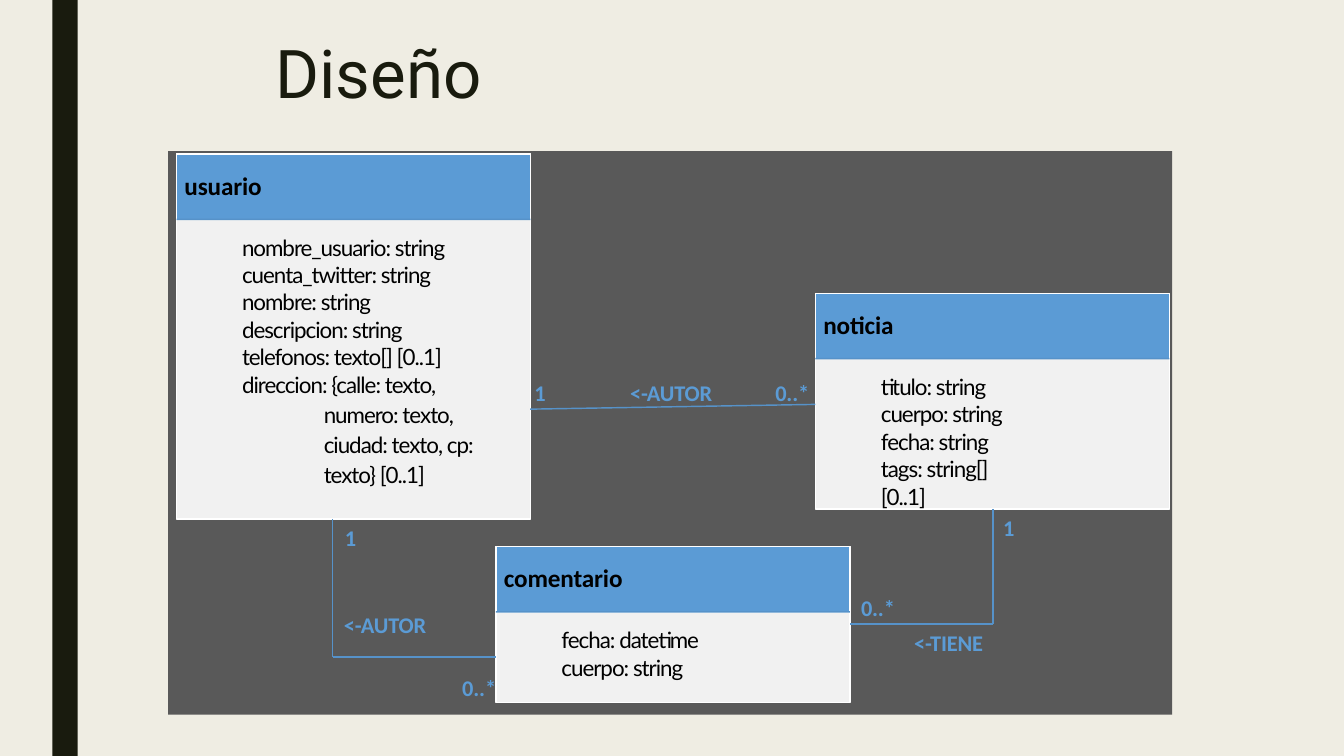
from itertools import pairwise

from lxml.etree import SubElement
from pptx import Presentation
from pptx.dml.color import RGBColor
from pptx.enum.shapes import MSO_CONNECTOR as Connector, MSO_SHAPE as Shape
from pptx.enum.text import MSO_ANCHOR as Anchor
from pptx.oxml.ns import qn
from pptx.util import Cm, Pt

INK, CREAM, PANEL = "191B0E", "EFEDE3", "595959"
HEADER, RULE, BODY = "5B9BD5", "5692C9", "F1F1F1"
BLACK, WHITE = "000000", "FFFFFF"

BOX_WIDTH, HEADER_HEIGHT = 8.92, 1.65
LINE_WIDTH = 1.03

TITLE = {"name": "Roboto", "size": Pt(48), "color": INK}
CLASS_NAME = {"name": "Calibri", "size": Pt(18), "bold": True, "color": BLACK, "tracking": -0.1}
FIELD = {"name": "Lato", "size": Pt(16), "color": BLACK, "tracking": -0.7}
LABEL = {"name": "Calibri", "size": Pt(16), "bold": True, "color": HEADER, "tracking": -0.1}

FIELD_LINE = {"line_spacing": 1.02}
NESTED_LINE = {"line_spacing": Pt(21.5)}
NESTED_INDENT = 2.06

CLASSES = [
    ("usuario", 4.45, 3.88, 9.2,
     ["nombre_usuario: string", "cuenta_twitter: string", "nombre: string",
      "descripcion: string", "telefonos: texto[] [0..1]", "direccion: {calle: texto,"],
     ["numero: texto,", "ciudad: texto, cp:", "texto} [0..1]"]),
    ("noticia", 20.55, 7.39, 5.44,
     ["titulo: string", "cuerpo: string", "fecha: string", "tags: string[]", "[0..1]"], []),
    ("comentario", 12.5, 13.77, 3.94, ["fecha: datetime", "cuerpo: string"], []),
]
LINKS = [
    [(13.36, 10.31), (20.55, 10.19)],
    [(8.38, 13.08), (8.38, 16.56), (12.5, 16.56)],
    [(25.02, 12.83), (25.02, 15.72), (21.42, 15.72)],
]
LABELS = [
    ("1", 13.47, 9.55), ("<-AUTOR", 15.88, 9.55), ("0..*", 19.54, 9.55),
    ("1", 8.69, 13.21), ("<-AUTOR", 8.67, 15.4), ("0..*", 11.65, 16.99),
    ("1", 25.28, 12.95), ("0..*", 21.7, 14.96), ("<-TIENE", 23.04, 15.85),
]


def rgb(value):
    return RGBColor.from_string(value)


def assign(target, values):
    for key, value in values.items():
        setattr(target, key, value)


class Diagram:
    def __init__(self, presentation):
        self.slide = presentation.slides.add_slide(presentation.slide_layouts[6])
        self.shapes = self.slide.shapes

    def background(self, color):
        fill = self.slide.background.fill
        fill.solid()
        fill.fore_color.rgb = rgb(color)

    def rectangle(self, left, top, width, height, color, outline=None):
        shape = self.shapes.add_shape(Shape.RECTANGLE, Cm(left), Cm(top), Cm(width), Cm(height))
        shape.shadow.inherit = False
        shape.fill.solid()
        shape.fill.fore_color.rgb = rgb(color)
        if outline:
            shape.line.color.rgb = rgb(outline)
            shape.line.width = Pt(LINE_WIDTH)
        else:
            shape.line.fill.background()

    def text(self, left, top, width, height, lines, style):
        frame = self.shapes.add_textbox(Cm(left), Cm(top), Cm(width), Cm(height)).text_frame
        assign(frame, {"word_wrap": True, "vertical_anchor": Anchor.TOP, "margin_left": 0,
                       "margin_right": 0, "margin_top": 0, "margin_bottom": 0})
        for index, line in enumerate(lines):
            paragraph = frame.paragraphs[0] if index == 0 else frame.add_paragraph()
            self.styled_run(paragraph, line, style)
        return frame

    def styled_run(self, paragraph, line, style):
        run = paragraph.add_run()
        run.text = line
        assign(run.font, {key: style[key] for key in ("name", "size", "bold") if key in style})
        run.font.color.rgb = rgb(style["color"])
        if "tracking" in style:
            run._r.get_or_add_rPr().set("spc", str(round(style["tracking"] * 100)))

    def class_box(self, name, left, top, height, fields, nested):
        divider = top + HEADER_HEIGHT
        self.rectangle(left, top, BOX_WIDTH, height, BODY, WHITE)
        self.rectangle(left, top, BOX_WIDTH, HEADER_HEIGHT, HEADER, WHITE)
        self.rectangle(left, divider - 0.02, BOX_WIDTH, 0.04, RULE)
        self.text(left + 0.2, top + 0.4, 5, 0.8, [name], CLASS_NAME)
        frame = self.text(left + 1.65, top + 2, 7.1, height - 2.1, fields + nested, FIELD)
        for index, paragraph in enumerate(frame.paragraphs):
            if index < len(fields):
                assign(paragraph, FIELD_LINE)
            else:
                assign(paragraph, NESTED_LINE)
                paragraph._p.get_or_add_pPr().set("marL", str(Cm(NESTED_INDENT)))

    def link(self, points):
        for start, end in pairwise(points):
            ends = [Cm(value) for value in start + end]
            connector = self.shapes.add_connector(Connector.STRAIGHT, *ends)
            connector.line.color.rgb = rgb(RULE)
            connector.line.width = Pt(LINE_WIDTH)
            SubElement(connector._element.spPr, qn("a:effectLst"))

    def label(self, caption, left, top):
        width = 0.4 + 0.3 * len(caption)
        self.text(left, top, width, 0.7, [caption], LABEL)


def main():
    presentation = Presentation()
    assign(presentation, {"slide_width": Cm(33.87), "slide_height": Cm(19.05)})
    diagram = Diagram(presentation)
    diagram.background(CREAM)
    diagram.rectangle(1.32, 0, 0.64, 19.05, INK)
    diagram.text(6.94, 0.8, 19.05, 2.08, ["Diseño"], TITLE)
    diagram.rectangle(4.24, 3.81, 25.3, 14.2, PANEL)
    for entry in CLASSES:
        diagram.class_box(*entry)
    for points in LINKS:
        diagram.link(points)
    for entry in LABELS:
        diagram.label(*entry)
    presentation.save("out.pptx")


if __name__ == "__main__":
    main()
